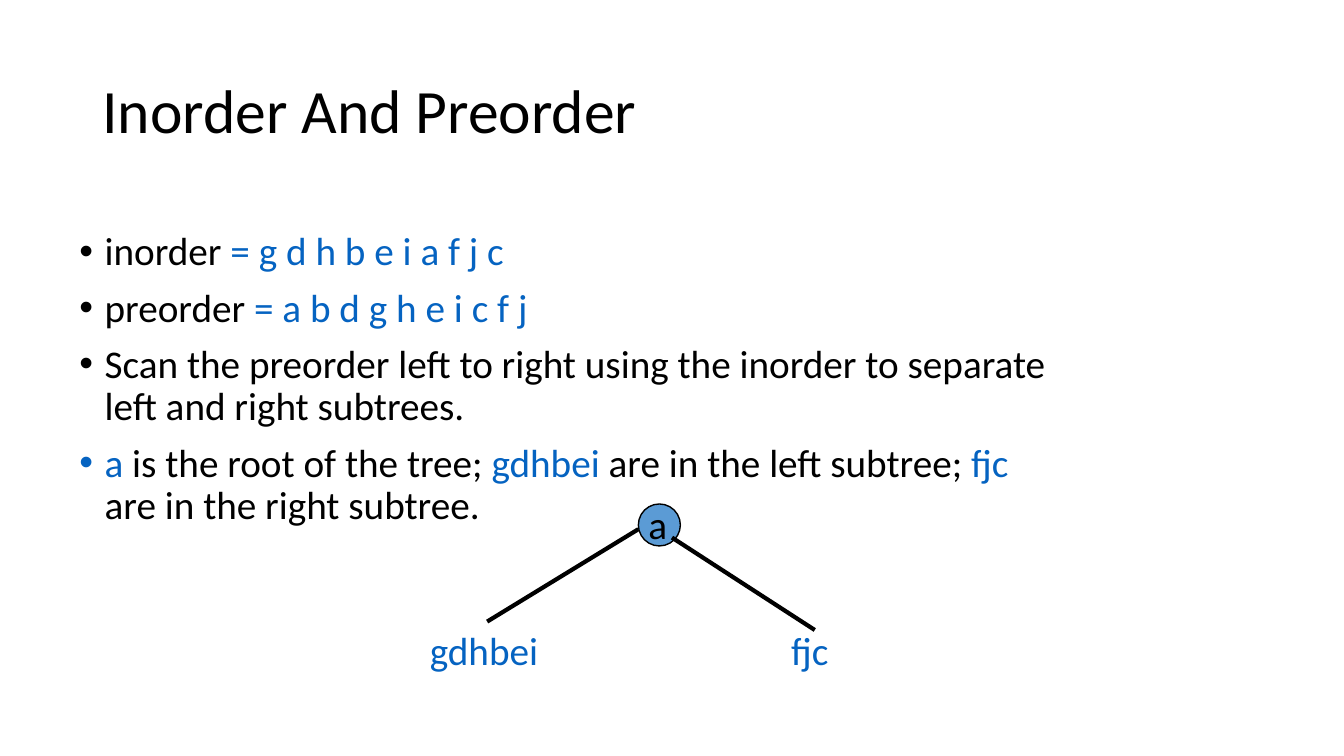
from collections import namedtuple
from dataclasses import dataclass

from lxml import etree
from pptx import Presentation
from pptx.dml.color import RGBColor
from pptx.enum import shapes, text
from pptx.oxml import ns
from pptx.util import Pt

Box = namedtuple("Box", "left top width height")


@dataclass(frozen=True)
class Theme:
    """Colours, font and type sizes of the deck."""
    ink: RGBColor = RGBColor(0x00, 0x00, 0x00)
    accent: RGBColor = RGBColor(0x05, 0x63, 0xC1)
    node: RGBColor = RGBColor(0x5B, 0x9B, 0xD5)
    font: str = "Calibri"
    title_size: int = 44
    body_size: int = 28


THEME = Theme()
INK, ACCENT = THEME.ink, THEME.accent

BULLETS = [
    [("inorder ", INK), ("= g d h b e i a f j c", ACCENT)],
    [("preorder", INK), (" = a b d g h e i c f j", ACCENT)],
    [("Scan the preorder left to right using the inorder to separate "
      "left and right subtrees.", INK)],
    [("a", ACCENT), (" is the root of the tree; ", INK), ("gdhbei", ACCENT),
     (" are in the left subtree; ", INK), ("fjc", ACCENT),
     (" are in the right subtree.", INK)],
]


def style_span(span, size, color):
    """Apply the theme font with a size and colour to one run."""
    span.font.name = THEME.font
    span.font.size = Pt(size)
    span.font.color.rgb = color


def add_frame(parent, box):
    """Add a wrapping text box and return its text frame."""
    frame = parent.add_textbox(*map(Pt, box)).text_frame
    frame.word_wrap = True
    return frame


def add_label(parent, box, words, size, color):
    """Add a text box holding one run and return its frame."""
    frame = add_frame(parent, box)
    frame.text = words
    style_span(frame.paragraphs[0].runs[0], size, color)
    return frame


def add_title(page, box):
    """Place the heading, centred vertically in its box."""
    frame = add_label(page.shapes, box, "Inorder And Preorder",
                      THEME.title_size, INK)
    frame.vertical_anchor = text.MSO_ANCHOR.MIDDLE
    frame.paragraphs[0].line_spacing = 0.9


def add_bullets(page, box, indent=18):
    """Place the bulleted explanation with coloured node names."""
    frame = add_frame(page.shapes, box)
    for index, parts in enumerate(BULLETS):
        para = frame.add_paragraph() if index else frame.paragraphs[0]
        para.line_spacing = 0.9
        para.space_before = Pt(10)
        for words, color in parts:
            span = para.add_run()
            span.text = words
            style_span(span, THEME.body_size, color)
        props = para._p.get_or_add_pPr()
        props.set("marL", str(Pt(indent)))
        props.set("indent", str(-Pt(indent)))
        etree.SubElement(props, ns.qn("a:buFont"), typeface="Arial")
        etree.SubElement(props, ns.qn("a:buChar"), char="•")


def add_branch(parent, start, end):
    """Draw one thick edge of the tree."""
    branch = parent.add_connector(shapes.MSO_CONNECTOR.STRAIGHT,
                                  *map(Pt, start + end))
    branch.line.color.rgb = INK
    branch.line.width = Pt(3)
    etree.SubElement(branch._element.spPr, ns.qn("a:effectLst"))


def add_tree(page, box):
    """Draw the root with its two subtrees as one group."""
    left, top = box.left, box.top
    tree = page.shapes.add_group_shape().shapes
    root = tree.add_shape(shapes.MSO_SHAPE.OVAL,
                          *map(Pt, (left + 156, top + 6, 30, 30)))
    root.shadow.inherit = False
    root.fill.solid()
    root.fill.fore_color.rgb = THEME.node
    root.line.color.rgb = INK
    root.line.width = Pt(1)
    add_branch(tree, (left + 156, top + 24), (left + 48, top + 90))
    add_branch(tree, (left + 180, top + 30), (left + 282, top + 96))
    labels = [("a", 156, 0, 60, INK), ("gdhbei", 0, 90, 102, ACCENT),
              ("fjc", 258, 90, 102, ACCENT)]
    for words, across, down, width, color in labels:
        add_label(tree, Box(left + across, top + down, width, box.height - 90),
                  words, THEME.body_size, color)


def main():
    """Build the slide and save the deck."""
    deck = Presentation()
    deck.slide_width, deck.slide_height = Pt(960), Pt(540)
    page = deck.slides.add_slide(deck.slide_layouts[6])
    add_title(page, Box(66, 28.75, 828, 104.4))
    add_bullets(page, Box(49.7, 162, 712, 240))
    add_tree(page, Box(300, 354, 360, 131))
    deck.save("out.pptx")


if __name__ == "__main__":
    main()
